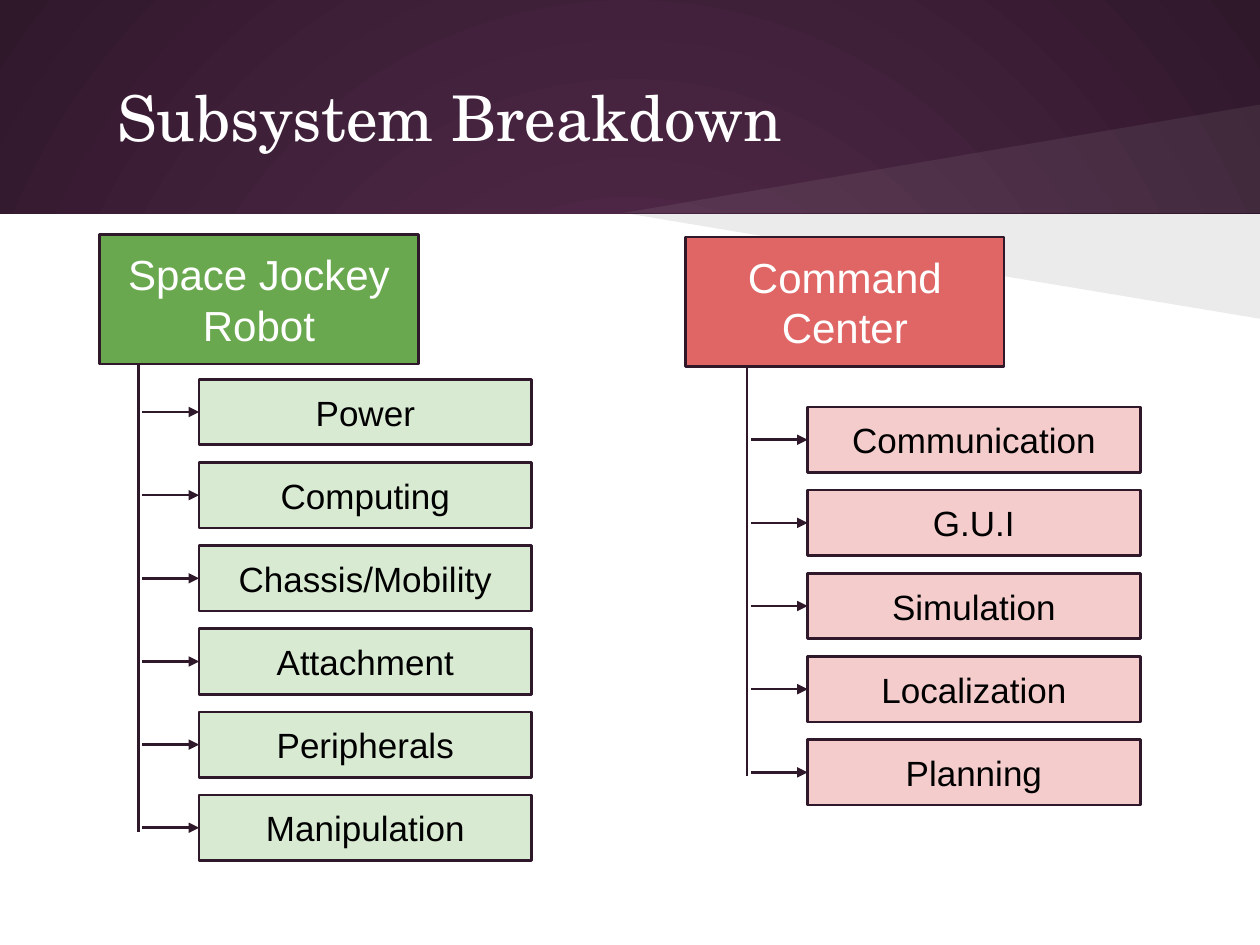
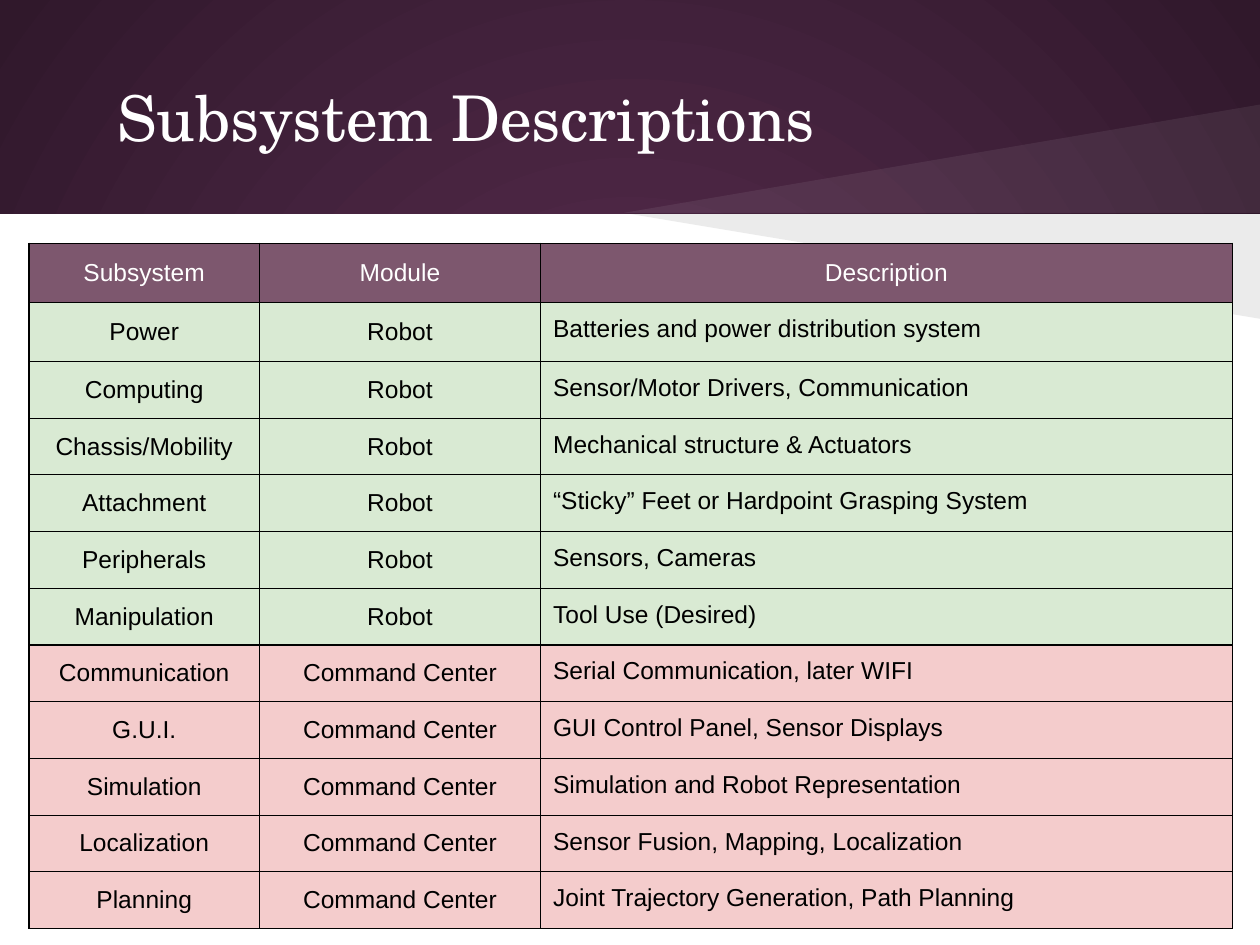
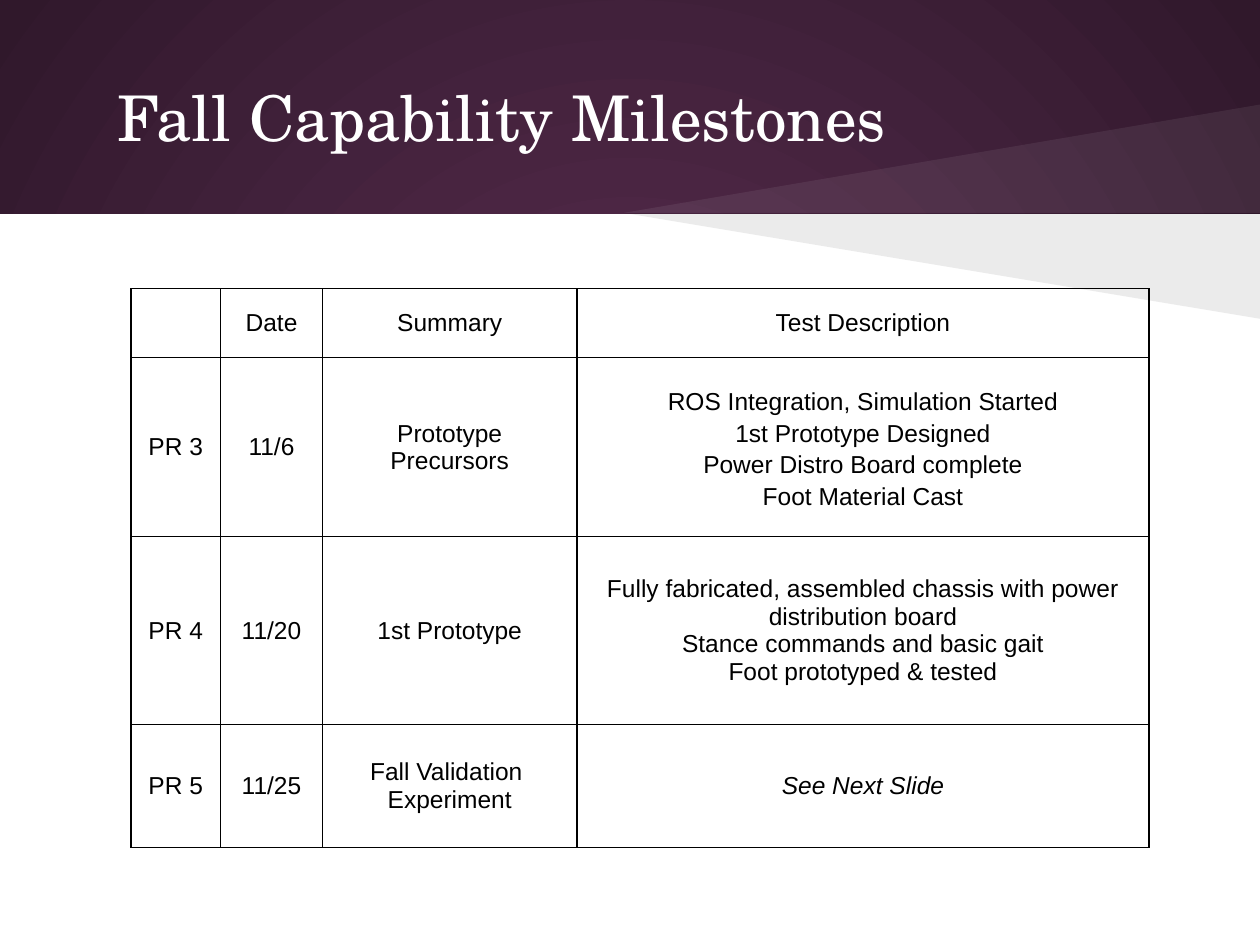
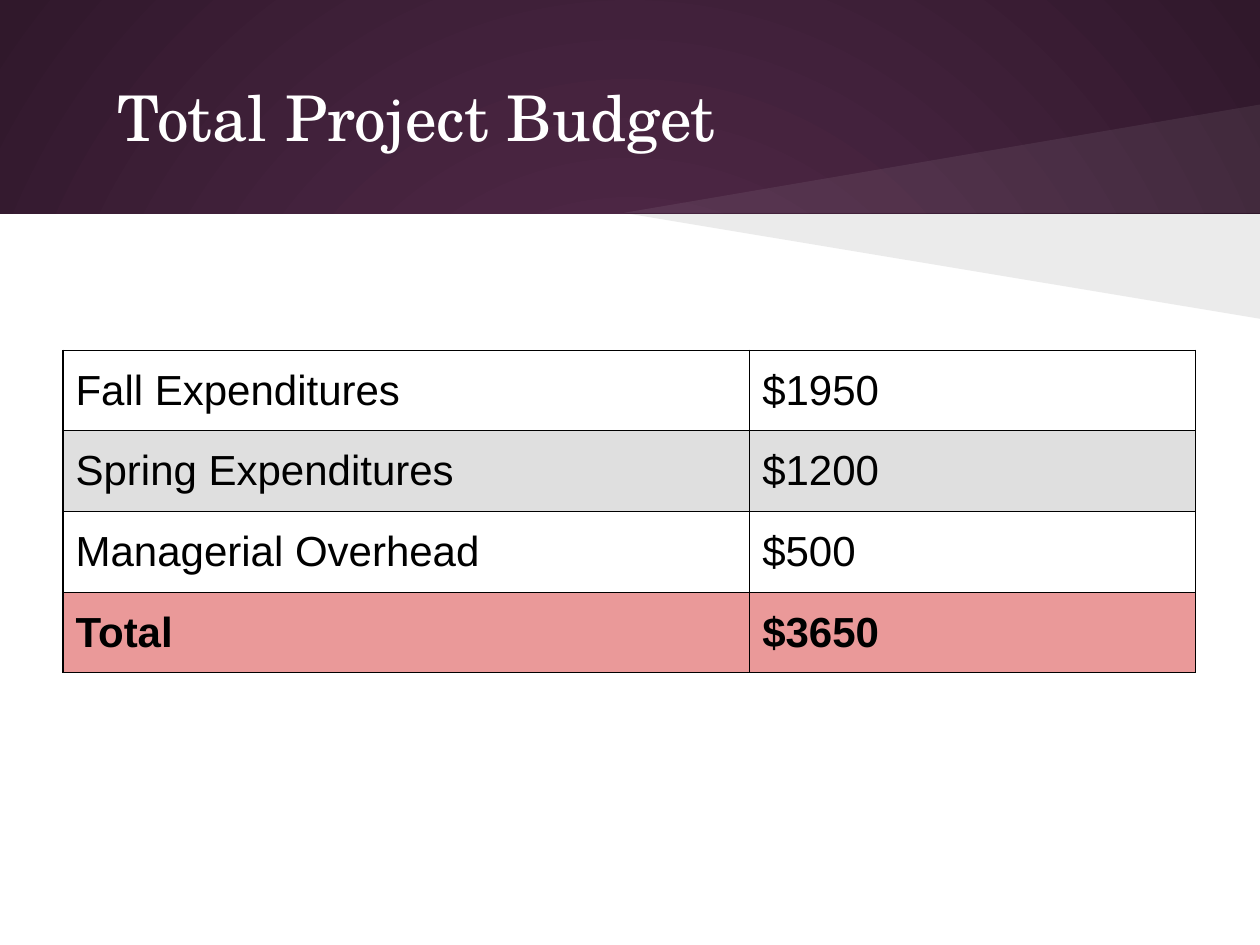
"""Build the four slides on robot subsystems, milestones and budget."""
from lxml.etree import SubElement
from pptx import Presentation
from pptx.dml.color import RGBColor
from pptx.enum.shapes import MSO_CONNECTOR, MSO_SHAPE
from pptx.enum.text import MSO_ANCHOR as Anchor, MSO_AUTO_SIZE, PP_ALIGN as Align
from pptx.oxml import parse_xml
from pptx.oxml.ns import nsdecls, qn
from pptx.util import Inches, Pt

TITLE_FONT, BODY_FONT = "TeX Gyre Schola", "Arial"
WHITE, BLACK = "FFFFFF", "000000"
PLUM, DARK_PLUM, HEADER_PLUM = "592D50", "30182B", "7D576E"
GREEN, LIGHT_GREEN = "6AA84F", "D9EAD3"
RED, LIGHT_RED, TOTAL_RED = "E06666", "F4CCCC", "EA9999"
GRAY = "DFDFDF"
TITLE_BOX = (0.5, 0.3, 9, 1.25)
WEDGES = [
    ([(10, 1.69), (4.95, 1.69), (10, 0.83)], WHITE, 7),
    ([(10, 1.69), (4.95, 1.69), (10, 2.53)], BLACK, 8),
]

MODULES = [
    {"name": "Space Jockey Robot", "at": (0.79, 1.86), "fill": GREEN,
     "parts": ["Power", "Computing", "Chassis/Mobility", "Attachment", "Peripherals", "Manipulation"],
     "parts_at": (1.58, 3.01), "part_fill": LIGHT_GREEN},
    {"name": "Command Center", "at": (5.44, 1.88), "fill": RED,
     "parts": ["Communication", "G.U.I", "Simulation", "Localization", "Planning"],
     "parts_at": (6.41, 3.23), "part_fill": LIGHT_RED},
]
MODULE_SIZE, PART_SIZE, PART_PITCH = (2.53, 1.03), (2.64, 0.52), 0.66
ARROW_LENGTH, TRUNK_GAP = 0.45, 0.48

DESCRIPTIONS = [
    ("Subsystem", "Module", "Description"),
    ("Power", "Robot", "Batteries and power distribution system"),
    ("Computing", "Robot", "Sensor/Motor Drivers, Communication"),
    ("Chassis/Mobility", "Robot", "Mechanical structure & Actuators"),
    ("Attachment", "Robot", "“Sticky” Feet or Hardpoint Grasping System"),
    ("Peripherals", "Robot", "Sensors, Cameras"),
    ("Manipulation", "Robot", "Tool Use (Desired)"),
    ("Communication", "Command Center", "Serial Communication, later WIFI"),
    ("G.U.I.", "Command Center", "GUI Control Panel, Sensor Displays"),
    ("Simulation", "Command Center", "Simulation and Robot Representation"),
    ("Localization", "Command Center", "Sensor Fusion, Mapping, Localization"),
    ("Planning", "Command Center", "Joint Trajectory Generation, Path Planning"),
]
MODULE_FILLS = {"Module": HEADER_PLUM, "Robot": LIGHT_GREEN, "Command Center": LIGHT_RED}

MILESTONES = [
    ("", "Date", "Summary", "Test Description"),
    ("PR 3", "11/6", "Prototype Precursors",
     "ROS Integration, Simulation Started\n1st Prototype Designed\n"
     "Power Distro Board complete\nFoot Material Cast"),
    ("PR 4", "11/20", "1st Prototype",
     "Fully fabricated, assembled chassis with power distribution board\n"
     "Stance commands and basic gait\nFoot prototyped & tested"),
    ("PR 5", "11/25", "Fall Validation \nExperiment", "See Next Slide"),
]

BUDGET = [
    ("Fall Expenditures", "$1950"),
    ("Spring Expenditures", "$1200"),
    ("Managerial Overhead", "$500"),
    ("Total", "$3650"),
]
BUDGET_FILLS = [None, GRAY, None, TOTAL_RED]


def rgb(color):
    return RGBColor.from_string(color)


def inches(values):
    return [Inches(value) for value in values]


def set_fill(fill, color):
    if color:
        fill.solid()
        fill.fore_color.rgb = rgb(color)
    else:
        fill.background()


def write(frame, text, size, color=BLACK, font=BODY_FONT, align=Align.CENTER,
          bold=False, italic=False, spacing=None):
    for index, line in enumerate(text.split("\n")):
        paragraph = frame.add_paragraph() if index else frame.paragraphs[0]
        paragraph.alignment = align
        if spacing:
            paragraph.line_spacing = spacing
        if line:
            run = paragraph.add_run()
            run.text = line
            run.font.name, run.font.size = font, Pt(size)
            run.font.color.rgb = rgb(color)
            run.font.bold, run.font.italic = bold, italic


def set_margins(target, side, vertical):
    target.margin_left = target.margin_right = Inches(side)
    target.margin_top = target.margin_bottom = Inches(vertical)


def add_box(slide, box, fill, text="", size=20, color=BLACK, line=None):
    shape = slide.shapes.add_shape(MSO_SHAPE.RECTANGLE, *inches(box))
    shape.shadow.inherit = False
    set_fill(shape.fill, fill)
    set_fill(shape.line.fill, line)
    if line:
        shape.line.width = Pt(1.5)
    if text:
        frame = shape.text_frame
        frame.word_wrap = True
        frame.vertical_anchor = Anchor.MIDDLE
        set_margins(frame, 0.1, 0.1)
        write(frame, text, size, color)
    return shape


def add_wedge(slide, points, color, opacity):
    start, *others = [inches(point) for point in points]
    builder = slide.shapes.build_freeform(*start)
    builder.add_line_segments(others, close=True)
    shape = builder.convert_to_shape()
    shape.shadow.inherit = False
    set_fill(shape.fill, color)
    set_fill(shape.line.fill, None)
    tint = shape.element.spPr.find(qn("a:solidFill"))[0]
    SubElement(tint, qn("a:alpha"), val=str(opacity * 1000))
    return shape


def add_line(slide, start, end, arrow=False):
    connector = slide.shapes.add_connector(MSO_CONNECTOR.STRAIGHT, *inches(start + end))
    connector.line.color.rgb = rgb(DARK_PLUM)
    connector.line.width = Pt(1.5)
    properties = connector.element.spPr
    if arrow:
        SubElement(properties.find(qn("a:ln")), qn("a:headEnd"), type="triangle")
    SubElement(properties, qn("a:effectLst"))


def add_borders(cell):
    properties = cell.fill and cell._tc.get_or_add_tcPr()
    for index, side in enumerate(("lnL", "lnR", "lnT", "lnB")):
        properties.insert(index, parse_xml(
            f'<a:{side} {nsdecls("a")} w="9525"><a:solidFill><a:srgbClr val="{BLACK}"/>'
            f'</a:solidFill></a:{side}>'))


def add_grid(slide, origin, widths, heights, rows, size, style, vertical_margin=0.1):
    box = inches((*origin, sum(widths), sum(heights)))
    table = slide.shapes.add_table(len(rows), len(widths), *box).table
    table.first_row = table.horz_banding = False
    for column, width in zip(table.columns, widths):
        column.width = Inches(width)
    for table_row, height in zip(table.rows, heights):
        table_row.height = Inches(height)
    for row, texts in enumerate(rows):
        for column, text in enumerate(texts):
            cell = table.cell(row, column)
            options = style(row, column)
            set_fill(cell.fill, options.pop("fill", None))
            cell.vertical_anchor = options.pop("anchor", Anchor.MIDDLE)
            set_margins(cell, 0.1, vertical_margin)
            add_borders(cell)
            write(cell.text_frame, text, size, **options)


def add_titled_slide(presentation, layout, text):
    slide = presentation.slides.add_slide(layout)
    title = slide.shapes.title
    title.left, title.top, title.width, title.height = inches(TITLE_BOX)
    frame = title.text_frame
    frame.word_wrap = True
    frame.auto_size = MSO_AUTO_SIZE.NONE
    frame.vertical_anchor = Anchor.MIDDLE
    set_margins(frame, 0.1, 0.1)
    write(frame, text, 36, WHITE, TITLE_FONT, Align.LEFT)
    properties = title.element.find(".//" + qn("a:pPr"))
    properties.set("marL", "0")
    properties.set("indent", str(Inches(0.33)))
    return slide


def decorate_layout(layout, slide):
    for placeholder in list(layout.placeholders)[1:]:
        placeholder.element.getparent().remove(placeholder.element)
    stops = "".join(f'<a:gs pos="{position}"><a:srgbClr val="{color}"/></a:gs>'
                    for position, color in ((0, PLUM), (100000, DARK_PLUM)))
    layout.element.cSld.insert(0, parse_xml(
        f'<p:bg {nsdecls("p", "a")}><p:bgPr><a:gradFill><a:gsLst>{stops}</a:gsLst>'
        '<a:path path="circle"><a:fillToRect l="50000" t="50000" r="50000" b="50000"/></a:path>'
        '</a:gradFill><a:effectLst/></p:bgPr></p:bg>'))
    parts = [add_box(slide, (0, 1.7, 10, 5.8), WHITE)]
    parts += [add_wedge(slide, *wedge) for wedge in WEDGES]
    for index, part in enumerate(parts, start=2):
        layout.shapes.element.insert(index, part.element)


def draw_module(slide, module):
    add_box(slide, (*module["at"], *MODULE_SIZE), module["fill"], module["name"], 24, WHITE, DARK_PLUM)
    left, first_top = module["parts_at"]
    for index, part in enumerate(module["parts"]):
        top = first_top + index * PART_PITCH
        middle = top + PART_SIZE[1] / 2
        add_box(slide, (left, top, *PART_SIZE), module["part_fill"], part, line=DARK_PLUM)
        add_line(slide, (left, middle), (left - ARROW_LENGTH, middle), arrow=True)
    trunk = left - TRUNK_GAP
    add_line(slide, (trunk, module["at"][1] + MODULE_SIZE[1]), (trunk, middle + 0.03))


def description_style(row, column):
    options = {"fill": MODULE_FILLS[DESCRIPTIONS[row][1]], "color": BLACK if row else WHITE}
    if row and column == 2:
        options.update(anchor=Anchor.TOP, align=Align.LEFT)
    return options


def milestone_style(row, column):
    return {"italic": (row, column) == (3, 3), "spacing": 1.15 if (row, column) == (1, 3) else None}


def budget_style(row, column):
    return {"fill": BUDGET_FILLS[row], "align": Align.LEFT, "bold": row == len(BUDGET) - 1}


def main():
    presentation = Presentation()
    presentation.slide_width, presentation.slide_height = inches((10, 7.5))
    layout = presentation.slide_layouts[5]

    slide = add_titled_slide(presentation, layout, "Subsystem Breakdown")
    decorate_layout(layout, slide)
    for module in MODULES:
        draw_module(slide, module)

    slide = add_titled_slide(presentation, layout, "Subsystem Descriptions")
    add_grid(slide, (0.23, 1.93), (1.83, 2.23, 5.49), [0.47] * 2 + [0.45] * 10,
             DESCRIPTIONS, 14, description_style)

    slide = add_titled_slide(presentation, layout, "Fall Capability Milestones")
    add_grid(slide, (1.04, 2.29), (0.71, 0.81, 2.02, 4.54), (0.55, 1.42, 1.49, 0.98),
             MILESTONES, 14, milestone_style)

    slide = add_titled_slide(presentation, layout, "Total Project Budget")
    add_grid(slide, (0.5, 2.78), (5.45, 3.54), [0.64] * 4, BUDGET, 24, budget_style, 0.13)

    presentation.save("out.pptx")


if __name__ == "__main__":
    main()
